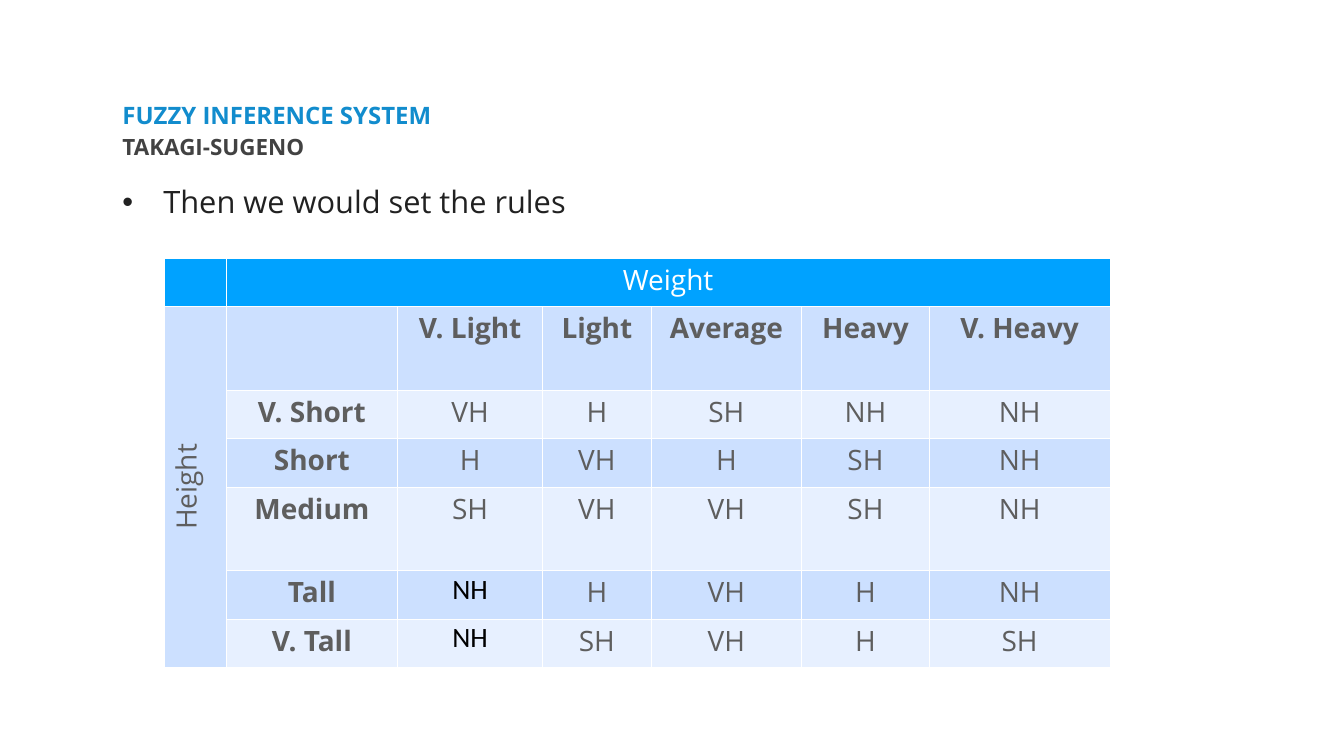
from collections import namedtuple

from lxml.etree import SubElement
from pptx import Presentation
from pptx.dml.color import RGBColor
from pptx.enum.text import MSO_ANCHOR as Anchor, MSO_AUTO_SIZE as AutoSize, PP_ALIGN as Align
from pptx.oxml import parse_xml
from pptx.oxml.ns import nsdecls, qn
from pptx.util import Inches, Pt

Box = namedtuple("Box", "left top width height")

WIDTH, HEIGHT = Inches(26.67), Inches(15)
BLUE = RGBColor(0x12, 0x8C, 0xCD)
CHARCOAL = RGBColor(0x42, 0x42, 0x42)
INK = RGBColor(0x21, 0x21, 0x21)
GRAY = RGBColor(0x5E, 0x5E, 0x5E)
BLACK = RGBColor(0, 0, 0)
WHITE = RGBColor(0xFF, 0xFF, 0xFF)
HEADER = RGBColor(0x00, 0xA2, 0xFF)
BANDS = RGBColor(0xCC, 0xE0, 0xFF), RGBColor(0xE7, 0xF0, 0xFF)
FONT = "Open Sans"

WEIGHTS = ["V. Light", "Light", "Average", "Heavy", "V. Heavy"]
RULES = {
    "V. Short": "VH H SH NH NH",
    "Short": "H VH H SH NH",
    "Medium": "SH VH VH SH NH",
    "Tall": "NH H VH H NH",
    "V. Tall": "NH SH VH H SH",
}
COLUMN_SHARES = [1.23, 3.4, 2.88, 2.15, 2.99, 2.53, 3.59]
ROW_SHARES = [0.96, 1.66, 0.96, 0.96, 1.66, 0.96, 0.96]


def percent_box(left, top, width, height):
    return Box(int(WIDTH * left / 100), int(HEIGHT * top / 100),
               int(WIDTH * width / 100), int(HEIGHT * height / 100))


def style(para, size, color, bold=False, name=FONT):
    font = para.font
    font.name, font.size, font.bold = name, Pt(size), bold
    font.color.rgb = color


def fill_placeholder(shape, box, text, size, color, bold=False, spacing=1.0, bullet=None):
    shape.left, shape.top, shape.width, shape.height = box
    frame = shape.text_frame
    frame.word_wrap, frame.auto_size = True, AutoSize.NONE
    frame.vertical_anchor = Anchor.TOP
    frame.margin_left = frame.margin_right = Inches(0.06)
    frame.margin_top = frame.margin_bottom = Inches(0.06)
    frame.text = text
    para = frame.paragraphs[0]
    para.alignment, para.line_spacing, para.space_before = Align.LEFT, spacing, Pt(0)
    props = para._p.get_or_add_pPr()
    indent = Inches(0.81) if bullet else 0
    props.set("marL", str(indent))
    props.set("indent", str(-indent))
    if bullet:
        SubElement(props, qn("a:buFont"), typeface="Arial")
        SubElement(props, qn("a:buChar"), char=bullet)
    else:
        SubElement(props, qn("a:buNone"))
    style(para, size, color, bold)


def format_cell(cell, color):
    cell.fill.solid()
    cell.fill.fore_color.rgb = color
    props = cell._tc.get_or_add_tcPr()
    for index, side in enumerate("LRTB"):
        props.insert(index, parse_xml(
            f'<a:ln{side} {nsdecls("a")} w="{Pt(1)}"><a:solidFill>'
            f'<a:srgbClr val="{WHITE}"/></a:solidFill></a:ln{side}>'))


def write_cell(cell, text, color=GRAY, bold=False, name=FONT):
    cell.text = text
    para = cell.text_frame.paragraphs[0]
    para.alignment = Align.CENTER
    style(para, 40, color, bold, name)


def add_rule_table(page, box):
    frame = page.shapes.add_table(len(ROW_SHARES), len(COLUMN_SHARES), *box)
    table = frame.table
    table.first_row = table.horz_banding = False
    for column, share in zip(table.columns, COLUMN_SHARES):
        column.width = int(box.width * share / sum(COLUMN_SHARES))
    for row, share in zip(table.rows, ROW_SHARES):
        row.height = int(box.height * share / sum(ROW_SHARES))
    for index, row in enumerate(table.rows):
        for column, cell in enumerate(row.cells):
            band = 0 if column == 0 else (index - 1) % 2
            format_cell(cell, BANDS[band] if index else HEADER)

    table.cell(0, 1).merge(table.cell(0, 6))
    write_cell(table.cell(0, 1), "Weight", WHITE)
    side = table.cell(1, 0)
    side.merge(table.cell(6, 0))
    write_cell(side, "Height")
    side.vertical_anchor = Anchor.MIDDLE
    side._tc.get_or_add_tcPr().set("vert", "vert270")

    for column, label in enumerate(WEIGHTS, 2):
        write_cell(table.cell(1, column), label, bold=True)
    for row, (label, values) in enumerate(RULES.items(), 2):
        write_cell(table.cell(row, 1), label, bold=True)
        for column, value in enumerate(values.split(), 2):
            plain = column == 2 and value == "NH"
            write_cell(table.cell(row, column), value, BLACK if plain else GRAY,
                       name="Calibri" if plain else FONT)


def main():
    deck = Presentation()
    deck.slide_width, deck.slide_height = WIDTH, HEIGHT
    page = deck.slides.add_slide(deck.slide_layouts[3])
    title, subtitle, body = list(page.placeholders)[:3]
    fill_placeholder(title, percent_box(8.89, 13.67, 60.33, 3.73),
                     "FUZZY INFERENCE SYSTEM", 34.2, BLUE, bold=True, spacing=0.8)
    fill_placeholder(subtitle, percent_box(8.89, 17.67, 40.04, 5.87),
                     "TAKAGI-SUGENO", 32, CHARCOAL, bold=True, spacing=0.9)
    fill_placeholder(body, percent_box(8.89, 23.8, 82.26, 62.6),
                     "Then we would set the rules", 44, INK, bullet="•")
    add_rule_table(page, percent_box(12.22, 34.13, 70.38, 54.13))
    deck.save("out.pptx")


if __name__ == "__main__":
    main()
